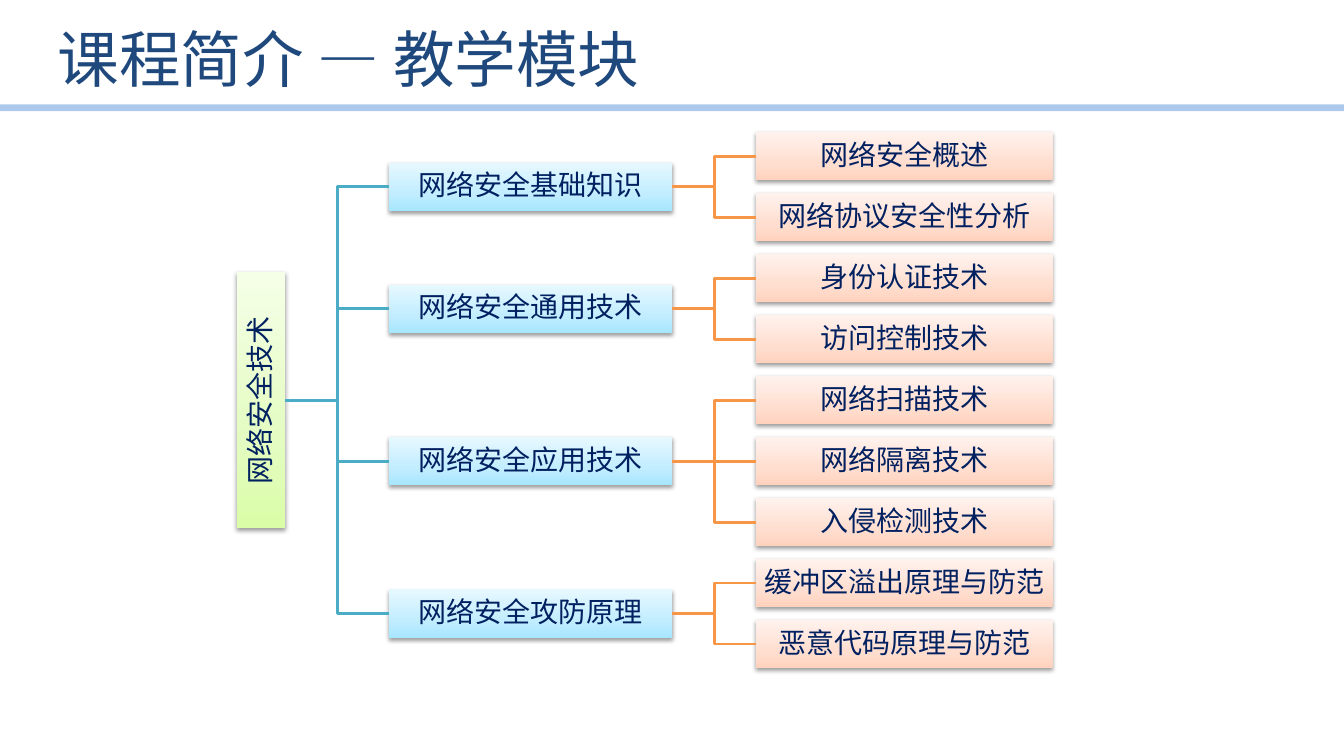
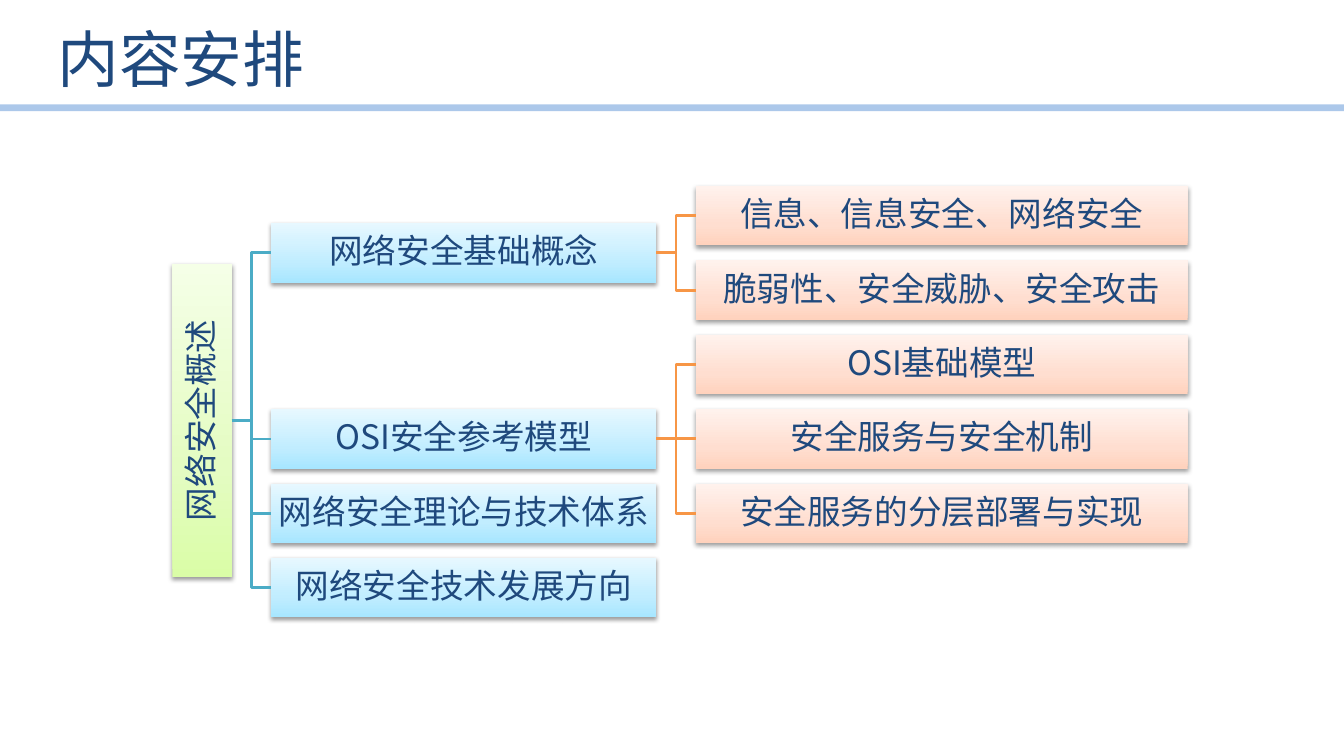
from copy import deepcopy

from lxml import etree
from pptx import Presentation
from pptx.dml.color import RGBColor
from pptx.enum.shapes import MSO_CONNECTOR, MSO_SHAPE
from pptx.enum.text import MSO_ANCHOR, MSO_AUTO_SIZE, PP_ALIGN
from pptx.oxml.ns import qn
from pptx.util import Inches, Pt

STRAIGHT, ELBOW = MSO_CONNECTOR.STRAIGHT, MSO_CONNECTOR.ELBOW
RECTANGLE = MSO_SHAPE.RECTANGLE
MIDDLE = MSO_ANCHOR.MIDDLE
LEFT, CENTER = PP_ALIGN.LEFT, PP_ALIGN.CENTER
NO_AUTOFIT = MSO_AUTO_SIZE.NONE
LEFT_SIDE, RIGHT_SIDE = 1, 3

FONT = "Noto Sans CJK SC"
TITLE_BLUE, NAVY = "1F497D", "002060"
RULE_BLUE, TEAL, ORANGE = "8EB4E3", "4BACC6", "F79646"
# Gradient colours from the bottom of a box to its top
GREEN_FILL = ("DAFDA7", "E4FCC2", "F5FFE7")
BLUE_FILL = ("A7E6FF", "C1EDFF", "E7F8FF")
PEACH_FILL = ("FFD2BD", "FFDED0", "FFF2ED")
GRADIENT_POSITIONS = (0, 0.35, 1)


def color(hex_string):
    return RGBColor.from_string(hex_string)


def add_element(parent, tag, **attributes):
    element = etree.SubElement(parent, qn(tag))
    for name, value in attributes.items():
        element.set(name, str(value))
    return element


def write_text(frame, text, size, text_color, align=LEFT, margin=None, line_spacing=None):
    frame.word_wrap = True
    frame.auto_size = NO_AUTOFIT
    frame.vertical_anchor = MIDDLE
    if margin is not None:
        frame.margin_left = frame.margin_right = Inches(margin)
        frame.margin_top = frame.margin_bottom = Inches(margin)
    paragraph = frame.paragraphs[0]
    paragraph.alignment = align
    if line_spacing:
        paragraph.line_spacing = line_spacing
    run = paragraph.add_run()
    run.text = text
    run.font.name = FONT
    run.font.size = Pt(size)
    run.font.color.rgb = color(text_color)
    add_element(run.font._element, "a:ea", typeface=FONT)


class Deck:
    """Shared style together with the slide being drawn."""

    def __init__(self):
        self.presentation = Presentation()
        self.presentation.slide_width = Inches(13.33)
        self.presentation.slide_height = Inches(7.5)
        self.layout = self.presentation.slide_layouts[5]
        self.slide = None
        title = self.layout.placeholders[0]
        title.left, title.top = Inches(0.47), Inches(0.09)
        title.width, title.height = Inches(11.02), Inches(0.97)

    def add_slide(self, title):
        first = self.slide is None
        self.slide = self.presentation.slides.add_slide(self.layout)
        if first:
            self.add_layout_rule()
        write_text(self.slide.shapes.title.text_frame, title, 44, TITLE_BLUE)

    def add_layout_rule(self):
        """Put the rule under the title on the layout, for every slide."""
        rule = self.line(STRAIGHT, RULE_BLUE, 4.75, (0, 1.07), (13.33, 1.07))
        rgb = rule.element.spPr.find(".//" + qn("a:srgbClr"))
        add_element(rgb, "a:alpha", val=73000)
        self.layout.element.cSld.spTree.append(rule.element)

    def line(self, kind, line_color, width, start=(0, 0), end=(0, 0)):
        points = [Inches(value) for value in (*start, *end)]
        connector = self.slide.shapes.add_connector(kind, *points)
        connector.line.color.rgb = color(line_color)
        connector.line.width = Pt(width)
        add_element(connector.element.spPr, "a:effectLst")
        return connector

    def join(self, parent, child, line_color):
        """Connect the right side of one box to the left side of another."""
        offset = parent.top + parent.height / 2 - child.top - child.height / 2
        kind = STRAIGHT if abs(offset) < Inches(0.01) else ELBOW
        connector = self.line(kind, line_color, 2)
        connector.begin_connect(parent, RIGHT_SIDE)
        connector.end_connect(child, LEFT_SIDE)

    def box(self, text, left, middle, width, height, fill_colors, vertical=False, **text_format):
        shape = self.slide.shapes.add_shape(
            RECTANGLE, Inches(left), Inches(middle - height / 2), Inches(width), Inches(height))
        shape.line.fill.background()
        # Three-stop gradient
        shape.fill.gradient()
        shape.fill.gradient_angle = 90
        stop_list = shape.element.spPr.find(".//" + qn("a:gsLst"))
        stop_list.append(deepcopy(stop_list[-1]))
        for stop, position, hex_string in zip(
                shape.fill.gradient_stops, GRADIENT_POSITIONS, fill_colors):
            stop.position = position
            stop.color.rgb = color(hex_string)
        # Soft shadow below the box
        shape.shadow.inherit = False
        effects = shape.element.spPr.find(qn("a:effectLst"))
        shadow = add_element(effects, "a:outerShdw", blurRad=40000, dist=20000,
                             dir=5400000, rotWithShape=0)
        add_element(add_element(shadow, "a:srgbClr", val="000000"), "a:alpha", val=38000)
        write_text(shape.text_frame, text, align=CENTER, line_spacing=0.9, **text_format)
        if vertical:
            shape.element.txBody.bodyPr.set("vert", "vert270")
        return shape

    def tree(self, root, branches, lefts, widths, box_height, root_height,
             first_middle, last_middle, rows, **text_format):
        """Draw a root, its branches and their leaves, from left to right."""
        pitch = (last_middle - first_middle) / (rows - 1)
        root_left, branch_left, leaf_left = lefts
        branch_width, leaf_width = widths
        leaf_row, branch_row = 0, 0
        branch_shapes, branch_middles = [], []
        for branch, leaves in branches:
            # A branch sits at the centre of its leaves, or one row further down
            branch_row = leaf_row + (len(leaves) - 1) / 2 if leaves else branch_row + 1
            middle = first_middle + branch_row * pitch
            branch_shape = self.box(branch, branch_left, middle, branch_width, box_height,
                                    BLUE_FILL, **text_format)
            branch_shapes.append(branch_shape)
            branch_middles.append(middle)
            for leaf in leaves:
                leaf_shape = self.box(leaf, leaf_left, first_middle + leaf_row * pitch,
                                      leaf_width, box_height, PEACH_FILL, **text_format)
                self.join(branch_shape, leaf_shape, ORANGE)
                leaf_row += 1
        root_middle = (branch_middles[0] + branch_middles[-1]) / 2
        root_shape = self.box(root, root_left, root_middle, box_height, root_height,
                              GREEN_FILL, vertical=True, **text_format)
        for branch_shape in branch_shapes:
            self.join(root_shape, branch_shape, TEAL)


def main():
    deck = Deck()

    # Teaching modules
    deck.add_slide("课程简介 — 教学模块")
    deck.tree(
        "网络安全技术",
        [("网络安全基础知识", ["网络安全概述", "网络协议安全性分析"]),
         ("网络安全通用技术", ["身份认证技术", "访问控制技术"]),
         ("网络安全应用技术", ["网络扫描技术", "网络隔离技术", "入侵检测技术"]),
         ("网络安全攻防原理", ["缓冲区溢出原理与防范", "恶意代码原理与防范"])],
        lefts=(2.35, 3.86, 7.5), widths=(2.81, 2.94), box_height=0.48, root_height=2.54,
        first_middle=1.55, last_middle=6.39, rows=9,
        size=20, text_color=NAVY, margin=0.01)

    # Contents of the chapter
    deck.add_slide("内容安排")
    deck.tree(
        "网络安全概述",
        [("网络安全基础概念", ["信息、信息安全、网络安全", "脆弱性、安全威胁、安全攻击"]),
         ("OSI安全参考模型", ["OSI基础模型", "安全服务与安全机制", "安全服务的分层部署与实现"]),
         ("网络安全理论与技术体系", []),
         ("网络安全技术发展方向", [])],
        lefts=(1.71, 2.69, 6.9), widths=(3.82, 4.88), box_height=0.59, root_height=3.11,
        first_middle=2.14, last_middle=5.83, rows=6,
        size=24, text_color=TITLE_BLUE, margin=0.02)

    deck.presentation.save("out.pptx")


if __name__ == "__main__":
    main()
